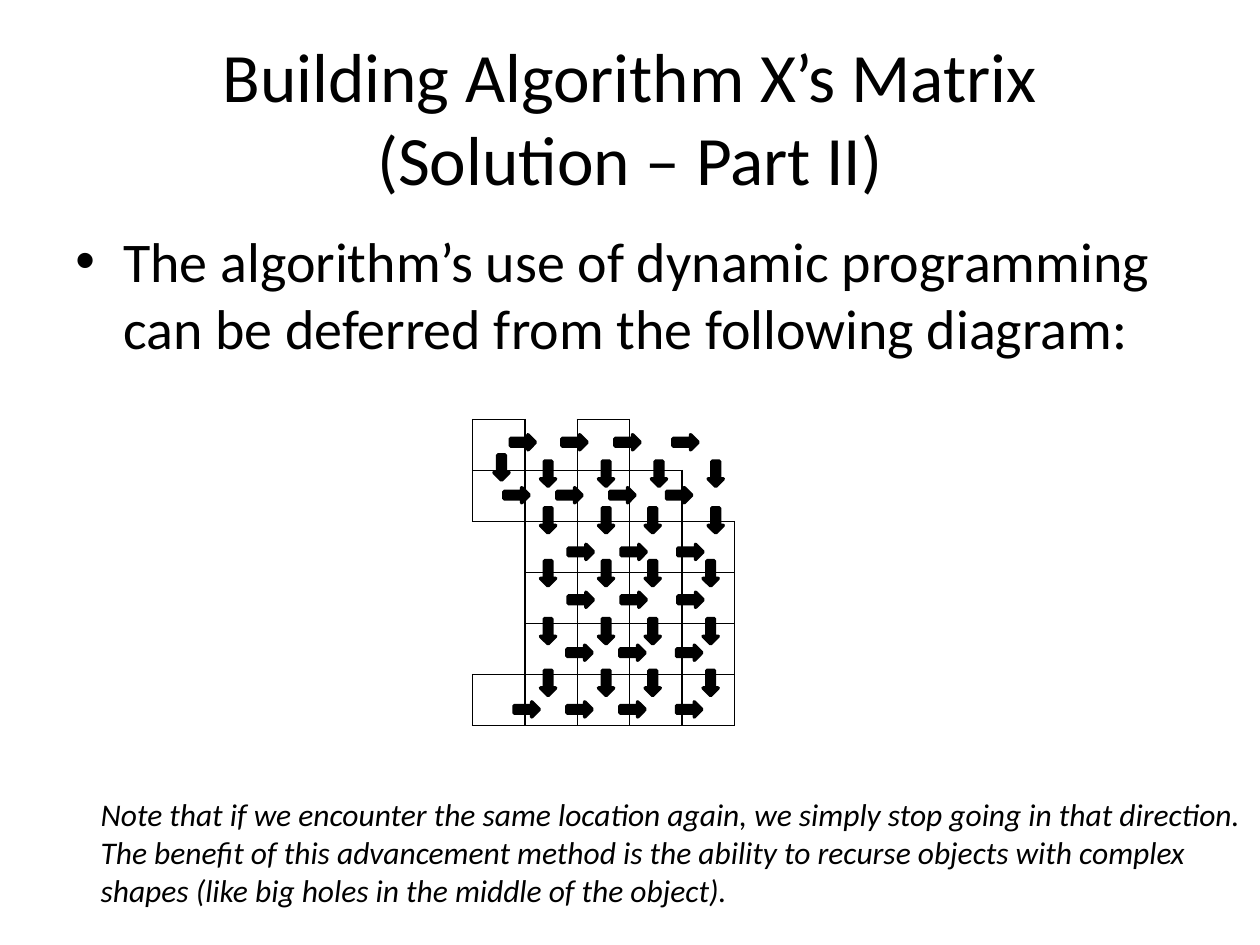
"""Build the slide on the flow of a recursive walk through a grid."""
import typing

import lxml.etree
import pptx
import pptx.dml.color
import pptx.enum.shapes
import pptx.enum.text
import pptx.oxml.ns
import pptx.util

Inches = pptx.util.Inches
Pt = pptx.util.Pt
qn = pptx.oxml.ns.qn
ALIGN = pptx.enum.text.PP_ALIGN
ANCHOR = pptx.enum.text.MSO_ANCHOR
COLORS = {"ink": "000000", "paper": "FFFFFF"}
FONT = "Calibri"


class Box(typing.NamedTuple):
    left: float
    top: float
    width: float
    height: float


class Band(typing.NamedTuple):
    turn: int
    top: float
    lefts: tuple[float, ...]


TITLE = Box(0.5, 0.3, 9, 1.25)
BODY = Box(0.5, 1.75, 9, 4.95)
GRID = Box(3.75, 3.33, 2.08, 2.43)
NOTE = Box(0.7, 6.26, 9.38, 1.01)
ROWS, COLS = 6, 5
SIDES = {(0, 1): "LRB", (0, 3): "LB", (0, 4): "", (1, 4): "LB",
         (2, 0): "TR", (3, 0): "R", (4, 0): "RB"}
MERGES = (((0, 3), (0, 4)), ((2, 0), (4, 0)))
RIGHT, DOWN = 90, 180
BANDS = (
    Band(RIGHT, 3.41, (4.09, 4.5, 4.92, 5.38)),
    Band(RIGHT, 3.83, (4.04, 4.46, 4.88, 5.33)),
    *(Band(RIGHT, top, (4.55, 4.97, 5.42)) for top in (4.28, 4.66)),
    Band(RIGHT, 5.08, (4.54, 4.96, 5.41)),
    Band(RIGHT, 5.53, (4.12, 4.54, 4.96, 5.41)),
    Band(DOWN, 3.61, (3.92,)),
    Band(DOWN, 3.66, (4.29, 4.75, 5.17, 5.62)),
    Band(DOWN, 4.03, (4.29, 4.75, 5.12, 5.62)),
    *(Band(DOWN, top, (4.29, 4.75, 5.12, 5.58)) for top in (4.45, 4.91, 5.32)),
)


def place(box: Box) -> list[int]:
    """Turn a box into lengths."""
    return [Inches(part) for part in box]


def shade(name: str) -> pptx.dml.color.RGBColor:
    """Look up a colour by name."""
    return pptx.dml.color.RGBColor.from_string(COLORS[name])


def write(slide, box: Box, *lines: str, size: float, align=ALIGN.LEFT,
          anchor=ANCHOR.TOP, bullet: str = "", slant: bool = False,
          wrap: bool = True) -> None:
    """Add a text box with one format for all its lines."""
    frame = slide.shapes.add_textbox(*place(box)).text_frame
    frame.word_wrap = wrap
    if not wrap:
        frame.auto_size = pptx.enum.text.MSO_AUTO_SIZE.SHAPE_TO_FIT_TEXT
    frame.vertical_anchor = anchor
    for index, line in enumerate(lines):
        para = frame.add_paragraph() if index else frame.paragraphs[0]
        para.text = line
        para.alignment = align
        if bullet:
            props = para._p.get_or_add_pPr()
            props.set("marL", str(Inches(0.38)))
            props.set("indent", str(Inches(-0.38)))
            lxml.etree.SubElement(props, qn("a:buFont"), typeface="Arial")
            lxml.etree.SubElement(props, qn("a:buChar"), char=bullet)
        for run in para.runs:
            run.font.name = FONT
            run.font.size = Pt(size)
            run.font.italic = slant
            run.font.color.rgb = shade("ink")


def edge(cell, sides: str) -> None:
    """Draw the named sides of a cell and clear the others."""
    props = cell._tc.get_or_add_tcPr()
    for index, side in enumerate("LRTB"):
        line = lxml.etree.Element(qn(f"a:ln{side}"), w=str(Pt(1)))
        if side in sides:
            fill = lxml.etree.SubElement(line, qn("a:solidFill"))
            lxml.etree.SubElement(fill, qn("a:srgbClr"), val=COLORS["ink"])
        else:
            lxml.etree.SubElement(line, qn("a:noFill"))
        props.insert(index, line)


def draw_grid(slide) -> None:
    """Add the table whose open sides form the outline."""
    table = slide.shapes.add_table(ROWS, COLS, *place(GRID)).table
    table.first_row = False
    table.horz_banding = False
    for row in range(ROWS):
        for col in range(COLS):
            cell = table.cell(row, col)
            cell.margin_top = cell.margin_bottom = 0
            cell.fill.solid()
            cell.fill.fore_color.rgb = shade("paper")
            edge(cell, SIDES.get((row, col), "LRTB"))
    for start, end in MERGES:
        table.cell(*start).merge(table.cell(*end))


def draw_band(slide, band: Band) -> None:
    """Add a row of arrows that point the same way."""
    for left in band.lefts:
        arrow = slide.shapes.add_shape(
            pptx.enum.shapes.MSO_SHAPE.UP_ARROW,
            *place(Box(left, band.top, 0.12, 0.2)))
        arrow.rotation = band.turn
        arrow.shadow.inherit = False
        arrow.fill.solid()
        arrow.fill.fore_color.rgb = shade("ink")
        arrow.line.color.rgb = shade("ink")
        arrow.line.width = Pt(2)


def main() -> None:
    """Build and save the slide."""
    deck = pptx.Presentation()
    deck.slide_width, deck.slide_height = Inches(10), Inches(7.5)
    slide = deck.slides.add_slide(deck.slide_layouts[6])
    write(slide, TITLE, "Building Algorithm X’s Matrix\n(Solution – Part II)",
          size=39.6, align=ALIGN.CENTER, anchor=ANCHOR.MIDDLE)
    write(slide, BODY, "The algorithm’s use of dynamic programming can be "
          "deferred from the following diagram:", size=32, bullet="•")
    draw_grid(slide)
    for band in BANDS:
        draw_band(slide, band)
    write(slide, NOTE,
          "Note that if we encounter the same location again, "
          "we simply stop going in that direction.",
          "The benefit of this advancement method is the ability "
          "to recurse objects with complex",
          "shapes (like big holes in the middle of the object).",
          size=18, slant=True, wrap=False)
    deck.save("out.pptx")


if __name__ == "__main__":
    main()
